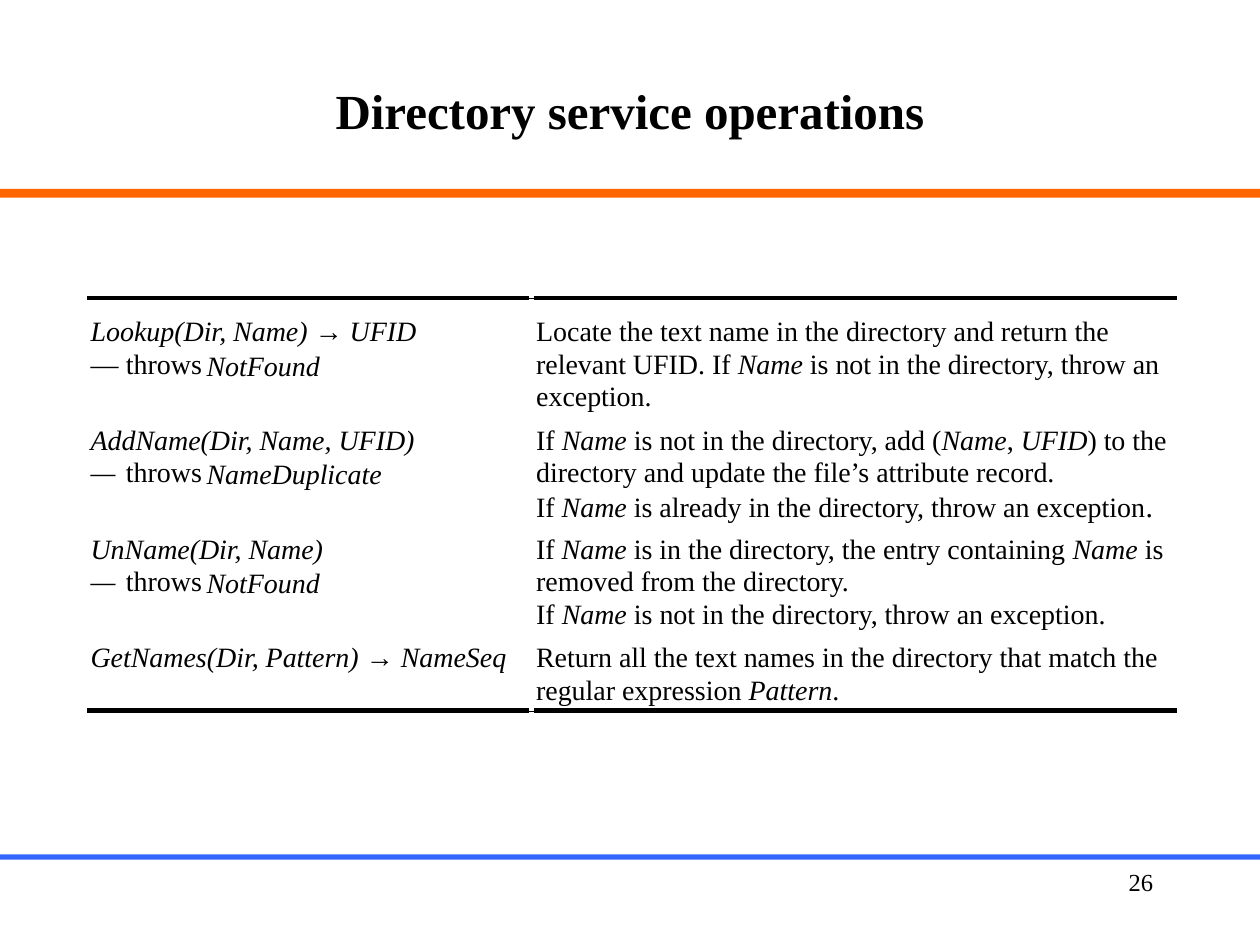
from pptx import Presentation
from pptx.dml.color import RGBColor
from pptx.enum.shapes import MSO_CONNECTOR as Connector, MSO_SHAPE as Shape
from pptx.enum.text import MSO_ANCHOR as Anchor, MSO_AUTO_SIZE as AutoSize, PP_ALIGN as Align
from pptx.oxml.ns import qn
from pptx.util import Pt
from lxml import etree

COLORS = {"text": "000000", "header": "FF6600", "footer": "3366FF"}
SERIF, ARROW_FONT = "Times New Roman", "Arial"
BODY_SIZE = 16
LARGE_SIZE = 17

SLIDE_WIDTH, SLIDE_HEIGHT = 720, 540
FIRST_ROW_TOP, ROW_PITCH, LINE_PITCH = 179.3, 62.1, 18.6
LINE_HEIGHT = 19.4
SIGNATURE_LEFT, THROWS_LEFT, ERROR_LEFT, DESCRIPTION_LEFT = 51.8, 72, 113.8, 306.4
DASH_WIDTH, THROWS_WIDTH = 17, 45
RULE_TOPS = (170.3, 406.1)
RULE_SPANS = ((49.7, 302.4), (305.3, 672.5))
TICK_LEFT, TICK_HEIGHT = 303.8, 0.5

OPERATIONS = [
    {
        "signature": (188, "*Lookup(Dir, Name) *→* UFID*"),
        "error": (70, "NotFound"),
        "description": [
            (329, "Locate the text name in the directory and return the"),
            (358, "relevant UFID. If *Name* is not in the directory, throw an"),
            (68, "exception."),
        ],
    },
    {
        "signature": (188, "*AddName(Dir, Name, UFID)*"),
        "error": (106, "NameDuplicate"),
        "description": [
            (362, "If *Name* is not in the directory, add (*Name*, *UFID*) to the"),
            (299, "directory and update the file’s attribute record."),
            (355, "If *Name* is already in the directory, throw an exception^."),
        ],
    },
    {
        "signature": (136, "*UnName(Dir, Name)*"),
        "error": (70, "NotFound"),
        "description": [
            (360, "If *Name* is in the directory, the entry containing *Name* is"),
            (181, "removed from the directory."),
            (328, "If *Name* is not in the directory, throw an exception."),
        ],
    },
    {
        "signature": (240, "*GetNames(Dir, Pattern) *→* NameSeq*"),
        "error": None,
        "description": [
            (357, "Return all the text names in the directory that match the"),
            (175, "regular expression *Pattern*."),
        ],
    },
]


def color(name):
    return RGBColor.from_string(COLORS[name])


def add_run(paragraph, text, size=BODY_SIZE, bold=False, italic=False):
    run = paragraph.add_run()
    run.text = text
    run.font.name = ARROW_FONT if text == "→" else SERIF
    run.font.size = Pt(size)
    run.font.bold = bold
    run.font.italic = italic
    run.font.color.rgb = color("text")


def add_marked_runs(paragraph, marked_text):
    body, _, large_ending = marked_text.partition("^")
    for index, text in enumerate(body.split("*")):
        if text:
            add_run(paragraph, text, italic=index % 2 == 1)
    if large_ending:
        add_run(paragraph, large_ending, LARGE_SIZE)


def add_box(slide, left, top, width, height):
    return slide.shapes.add_textbox(Pt(left), Pt(top), Pt(width), Pt(height)).text_frame


def add_line_box(slide, left, top, width):
    frame = add_box(slide, left, top, width, LINE_HEIGHT)
    frame.margin_left = frame.margin_right = frame.margin_top = frame.margin_bottom = 0
    frame.word_wrap = False
    frame.auto_size = AutoSize.SHAPE_TO_FIT_TEXT
    return frame.paragraphs[0]


def add_label(slide, text, left, top, width, height, size, align, bold=False, anchor=Anchor.TOP):
    frame = add_box(slide, left, top, width, height)
    frame.word_wrap = True
    frame.vertical_anchor = anchor
    paragraph = frame.paragraphs[0]
    paragraph.alignment = align
    add_run(paragraph, text, size, bold)


def add_band(slide, top, height, fill):
    band = slide.shapes.add_shape(Shape.RECTANGLE, 0, Pt(top), Pt(SLIDE_WIDTH), Pt(height))
    band.shadow.inherit = False
    band.fill.solid()
    band.fill.fore_color.rgb = color(fill)
    band.line.fill.background()


def add_rule(slide, start, end, top, height=0):
    rule = slide.shapes.add_connector(
        Connector.STRAIGHT, Pt(start), Pt(top), Pt(end), Pt(top + height))
    rule.line.color.rgb = color("text")
    rule.line.width = Pt(2.5)
    etree.SubElement(rule._element.spPr, qn("a:effectLst"))


def add_throws(slide, top, width, error, italic_dash):
    dash = add_line_box(slide, SIGNATURE_LEFT, top, DASH_WIDTH)
    add_run(dash, "—", italic=italic_dash)
    throws = add_line_box(slide, THROWS_LEFT, top, THROWS_WIDTH)
    add_run(throws, "throws")
    name = add_line_box(slide, ERROR_LEFT, top, width)
    add_run(name, " ", LARGE_SIZE, italic=True)
    add_run(name, error, italic=True)


def add_operation(slide, index, operation):
    top = FIRST_ROW_TOP + index * ROW_PITCH
    width, signature = operation["signature"]
    add_marked_runs(add_line_box(slide, SIGNATURE_LEFT, top, width), signature)
    if operation["error"]:
        add_throws(slide, top + LINE_PITCH, *operation["error"], italic_dash=index > 0)
    for line, (width, text) in enumerate(operation["description"]):
        paragraph = add_line_box(slide, DESCRIPTION_LEFT, top + line * LINE_PITCH, width)
        add_marked_runs(paragraph, text)


def main():
    presentation = Presentation()
    presentation.slide_width = Pt(SLIDE_WIDTH)
    presentation.slide_height = Pt(SLIDE_HEIGHT)
    slide = presentation.slides.add_slide(presentation.slide_layouts[6])

    add_band(slide, 108, 5, "header")
    add_band(slide, 488.2, 3, "footer")
    add_label(slide, "26", 516, 492, 150, 36, 14, Align.RIGHT)
    add_label(slide, "Directory service operations", 54, 18, 612, 90, 28,
              Align.CENTER, bold=True, anchor=Anchor.MIDDLE)

    for index, operation in enumerate(OPERATIONS):
        add_operation(slide, index, operation)
    for top in RULE_TOPS:
        for start, end in RULE_SPANS:
            add_rule(slide, start, end, top)
        add_rule(slide, TICK_LEFT, TICK_LEFT, top, TICK_HEIGHT)

    presentation.save("out.pptx")


if __name__ == "__main__":
    main()
